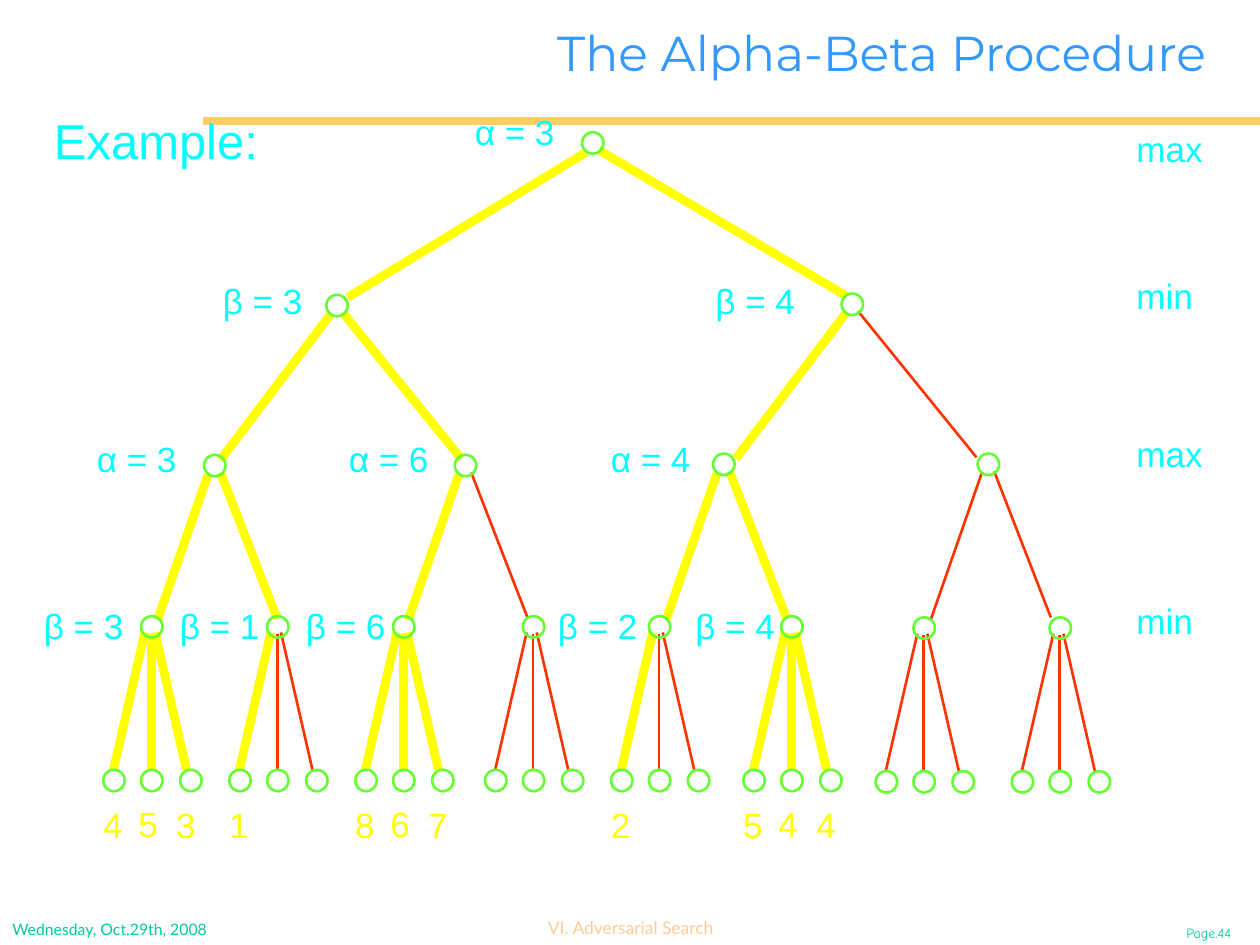
"""Build the alpha-beta search tree slide."""
from pptx import Presentation
from pptx.dml.color import RGBColor
from pptx.enum import shapes, text
from pptx.oxml.ns import qn
from pptx.util import Inches, Pt
from lxml import etree

YELLOW = RGBColor(0xFF, 0xFF, 0x00)
RED = RGBColor(0xFF, 0x33, 0x00)
GREEN = RGBColor(0x66, 0xFF, 0x33)
CYAN = RGBColor(0x00, 0xFF, 0xFF)
BLUE = RGBColor(0x33, 0x99, 0xFF)
GOLD = RGBColor(0xFF, 0xCC, 0x66)
PEACH = RGBColor(0xFF, 0xCC, 0x99)
TEAL = RGBColor(0x00, 0xCC, 0x99)
LEFT, CENTER = text.PP_ALIGN.LEFT, text.PP_ALIGN.CENTER

deck = Presentation()
deck.slide_width, deck.slide_height = Inches(10), Inches(7.5)
slide = deck.slides.add_slide(deck.slide_layouts[5])


def add_line(x1, y1, x2, y2, color, width):
    line = slide.shapes.add_connector(
        shapes.MSO_CONNECTOR.STRAIGHT, Inches(x1), Inches(y1), Inches(x2), Inches(y2))
    line.line.color.rgb = color
    line.line.width = Pt(width)
    etree.SubElement(line._element.spPr, qn("a:effectLst"))


def add_label(words, x, y, w, h, size=20, color=CYAN, font="Arial", align=LEFT, wrap=True):
    label = slide.shapes.add_textbox(Inches(x), Inches(y), Inches(w), Inches(h))
    label.text_frame.word_wrap = wrap
    paragraph = label.text_frame.paragraphs[0]
    paragraph.text = words
    paragraph.alignment = align
    run_font = paragraph.runs[0].font
    run_font.name, run_font.size, run_font.color.rgb = font, Pt(size), color


add_line(1.61, 0.96, 10, 0.96, GOLD, 4.5)
add_label("Page.44", 9.23, 7.29, 0.73, 0.24, 8, TEAL, "Comic Neue", CENTER)
add_label("VI. Adversarial Search", 4.2, 7.23, 1.61, 0.27, 10, PEACH, "Lato", CENTER, False)
add_label("Wednesday, Oct.29th, 2008", 0, 7.25, 2.4, 0.25, 9, TEAL, "Lato")

title = slide.shapes.title
title.left, title.top, title.width, title.height = Inches(0.25), Inches(0), Inches(9.42), Inches(0.83)
title.text_frame.text = "The Alpha-Beta Procedure"
title.text_frame.vertical_anchor = text.MSO_ANCHOR.MIDDLE
title.text_frame.paragraphs[0].alignment = text.PP_ALIGN.RIGHT
title_font = title.text_frame.paragraphs[0].runs[0].font
title_font.name, title_font.size, title_font.color.rgb = "Montserrat", Pt(28), BLUE

edge_widths = {YELLOW: 5, RED: 1.5}
nodes = []

fans = [
    (1.12, 4.89, "453", 3), (2.12, 4.89, "1", 1), (3.12, 4.89, "867", 3),
    (4.15, 4.89, "", 0), (5.15, 4.89, "2", 1), (6.2, 4.89, "544", 3),
    (7.25, 4.9, "", 0), (8.33, 4.9, "", 0),
]
fan_edges = [(-0.22, 0.03, 0.13), (0.08, 0.08, 0.14), (0.36, 0.11, 0.13)]
for x, y, values, searched in fans:
    nodes.append((x, y))
    for i, (leaf_dx, node_dx, node_dy) in enumerate(fan_edges):
        color = YELLOW if i < searched else RED
        add_line(x + leaf_dx, y + 1.22, x + node_dx, y + node_dy, color, edge_widths[color])
    nodes += [(x + dx, y + 1.22) for dx in (-0.3, 0, 0.31)]
    for value, dx, value_y in zip(values, (-0.4, -0.12, 0.18), (6.33, 6.32, 6.33)):
        add_label(value, x + dx, value_y, 0.42, 0.44, color=YELLOW)

lower, middle, root = (-0.37, 0.58), (-0.84, 1.07), (-1.86, 2.1)
branches = [
    (1.62, 3.61, lower, YELLOW, YELLOW), (3.61, 3.61, lower, YELLOW, RED),
    (5.66, 3.6, lower, YELLOW, YELLOW), (7.76, 3.6, lower, RED, RED),
    (2.59, 2.34, middle, YELLOW, YELLOW), (6.68, 2.33, middle, YELLOW, RED),
    (4.62, 1.05, root, YELLOW, YELLOW),
]
for x, y, (left_dx, right_dx), left_color, right_color in branches:
    nodes.append((x, y))
    add_line(x + left_dx, y + 1.31, x + 0.03, y + 0.16, left_color, edge_widths[left_color])
    add_line(x + right_dx, y + 1.3, x + 0.13, y + 0.14, right_color, edge_widths[right_color])

for x, y in nodes:
    node = slide.shapes.add_shape(
        shapes.MSO_SHAPE.OVAL, Inches(x), Inches(y), Inches(0.17), Inches(0.17))
    node.shadow.inherit = False
    node.fill.background()
    node.line.color.rgb = GREEN
    node.line.width = Pt(1.5)

add_label("Example:", 0.33, 0.83, 2.25, 0.57, 28)
for player, y in [("max", 0.96), ("min", 2.13), ("max", 3.38), ("min", 4.71)]:
    add_label(player, 8.92, y, 0.75, 0.44)

bounds = [
    ("α", 0.83, [(3, 3.67)]),
    ("β", 2.17, [(3, 1.67), (4, 5.58)]),
    ("α", 3.42, [(3, 0.67), (6, 2.67), (4, 4.75)]),
    ("β", 4.75, [(3, 0.25), (1, 1.33), (6, 2.33), (2, 4.33), (4, 5.42)]),
]
for symbol, y, row in bounds:
    for value, x in row:
        add_label(f"{symbol} = {value}", x, y, 1, 0.44)

deck.save("out.pptx")
